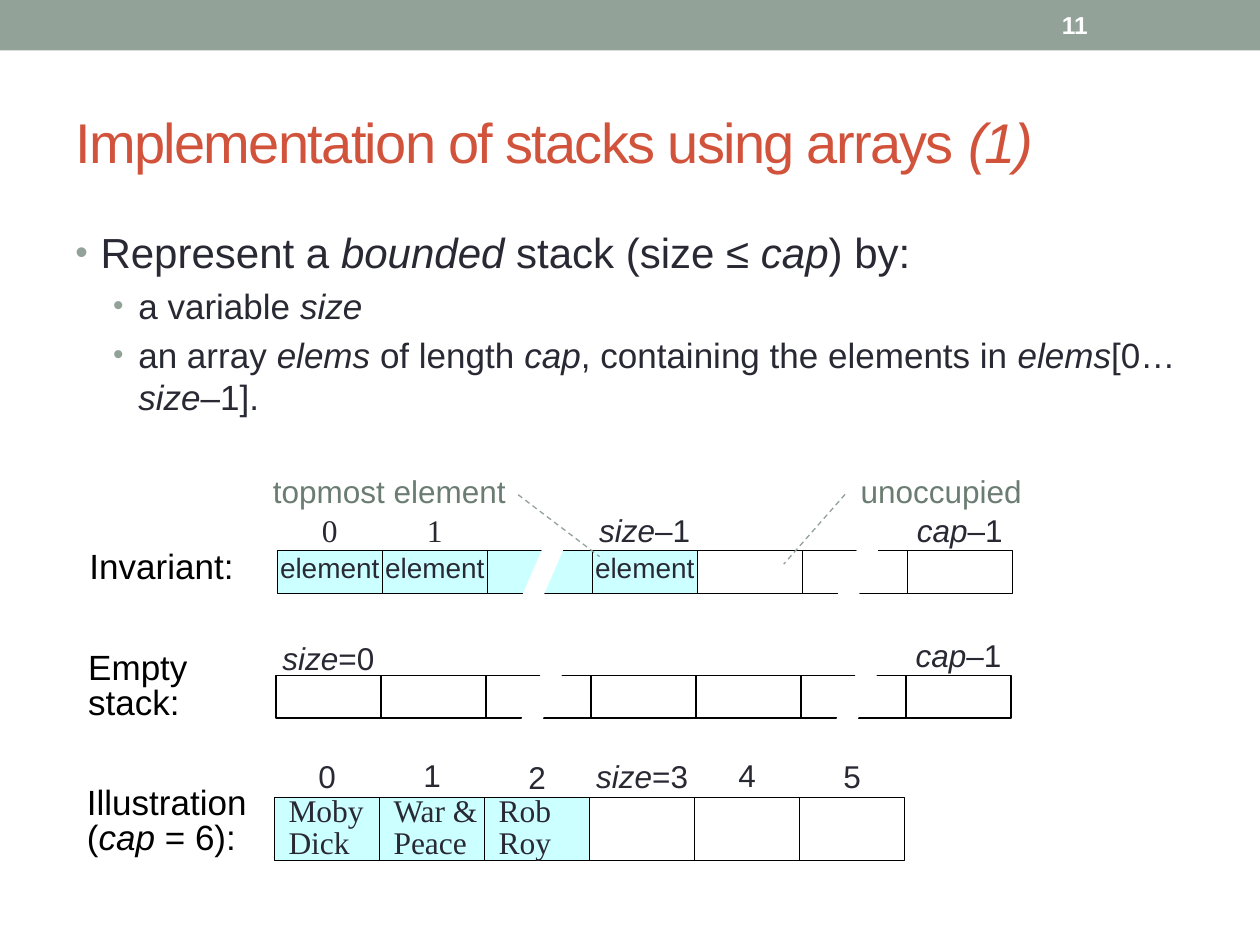
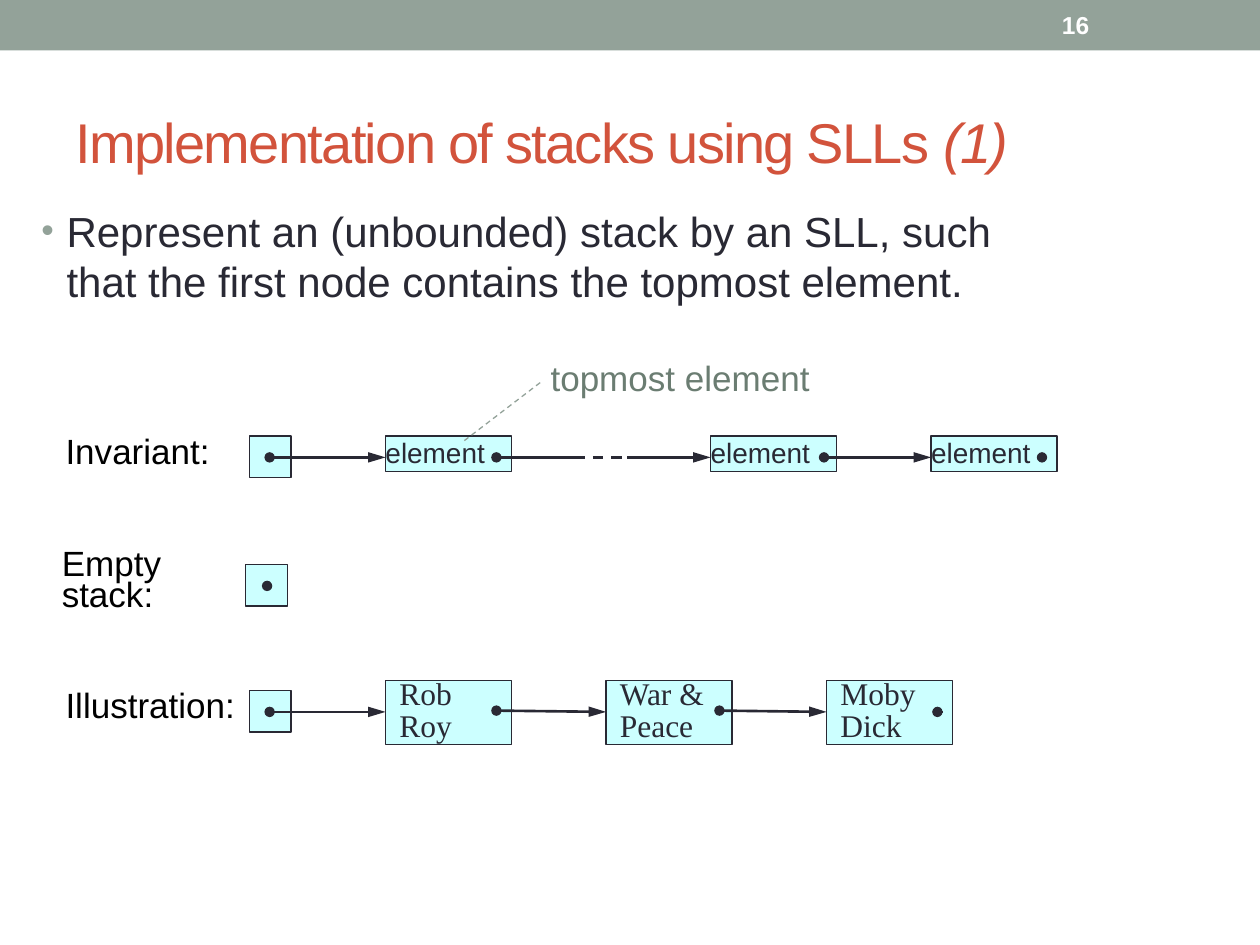
from dataclasses import dataclass, field
from typing import NamedTuple

from lxml import etree
from pptx import Presentation
from pptx.dml.color import RGBColor
from pptx.enum.dml import MSO_LINE
from pptx.enum.shapes import MSO_CONNECTOR, MSO_SHAPE
from pptx.enum.text import MSO_ANCHOR, MSO_AUTO_SIZE, PP_ALIGN
from pptx.oxml.ns import qn
from pptx.util import Emu, Inches, Pt

RECTANGLE, CALLOUT = MSO_SHAPE.RECTANGLE, MSO_SHAPE.LINE_CALLOUT_1_NO_BORDER
STRAIGHT, DASH = MSO_CONNECTOR.STRAIGHT, MSO_LINE.DASH
LEFT, CENTER = PP_ALIGN.LEFT, PP_ALIGN.CENTER
TOP, MIDDLE = MSO_ANCHOR.TOP, MSO_ANCHOR.MIDDLE
TITLE_ONLY = 5

COLORS = {
    "band": "93A299", "title": "D2533C", "ink": "292934", "note": "6B7D72",
    "black": "000000", "white": "FFFFFF", "cell": "CCFFFF",
}

# The slide is a grid of 100 columns by 75 rows with square units
WIDTH, HEIGHT = Inches(10), Inches(7.5)
UNIT = WIDTH / 100
CELL = 100 / 12


class Area(NamedTuple):
    left: float
    top: float
    width: float
    height: float


class Style(NamedTuple):
    size: float
    color: str
    font: str = "Arial"
    align: PP_ALIGN = LEFT
    spacing: float | None = None
    indent: float = 0
    bold: bool = False


STYLES = {
    "title": Style(32, "title"),
    "number": Style(14, "white", bold=True),
    "label": Style(20, "black", spacing=20),
    "tight label": Style(20, "black", spacing=18),
    "caption": Style(18, "ink", align=CENTER, spacing=18),
    "serif caption": Style(18, "ink", "Times New Roman", CENTER, 18),
    "book": Style(18, "ink", "Times New Roman", spacing=18, indent=1.1),
    "element": Style(16, "ink", align=CENTER),
    "node element": Style(16, "ink"),
    "note": Style(18, "note", align=CENTER, spacing=18),
    "large note": Style(20, "note", spacing=18),
}
BULLETS = [Style(24, "ink", indent=2), Style(20, "ink", indent=5)]


class Caption(NamedTuple):
    column: int
    text: str
    top: float
    style: str = "caption"


@dataclass
class ArrayRow:
    left: float
    top: float
    height: float
    count: int
    filled: tuple[int, ...] = ()
    contents: dict[int, str] = field(default_factory=dict)
    style: str = "element"
    gaps: tuple[int, ...] = ()
    captions: tuple[Caption, ...] = ()


class Link(NamedTuple):
    start: tuple[float, float]
    end: tuple[float, float]
    dot: bool = True
    arrow: bool = True
    dashed: bool = False


def units(*lengths: float) -> list[Emu]:
    return [Emu(round(length * UNIT)) for length in lengths]


def color(name: str) -> RGBColor:
    return RGBColor.from_string(COLORS[name])


def apply(target, values: dict) -> None:
    for name, value in values.items():
        setattr(target, name, value)


def add_spans(para, text: str, style: Style) -> None:
    """Write text in which *stars* mark italics and newlines break lines."""
    apply(para, {"alignment": style.align,
                 "line_spacing": Pt(style.spacing) if style.spacing else None})
    for index, part in enumerate(text.split("*")):
        for number, line in enumerate(part.split("\n")):
            if number:
                para.add_line_break()
            if not line:
                continue
            span = para.add_run()
            span.text = line
            apply(span.font, {"size": Pt(style.size), "name": style.font,
                              "bold": style.bold, "italic": index % 2 == 1})
            span.font.color.rgb = color(style.color)


def set_indent(para, left: float, hanging: float = 0):
    properties = para._p.get_or_add_pPr()
    margin, first = units(left, -hanging)
    properties.set("marL", str(margin))
    properties.set("indent", str(first))
    return properties


def prepare(frame, anchor=TOP, inset: bool = False) -> None:
    side, edge = (Inches(0.1), Inches(0.05)) if inset else (0, 0)
    apply(frame, {"word_wrap": True, "auto_size": MSO_AUTO_SIZE.NONE,
                  "vertical_anchor": anchor, "margin_left": side, "margin_right": side,
                  "margin_top": edge, "margin_bottom": edge})


def write(frame, text: str, style: str, anchor=TOP, inset: bool = False) -> None:
    prepare(frame, anchor, inset)
    para = frame.paragraphs[0]
    add_spans(para, text, STYLES[style])
    if STYLES[style].indent:
        set_indent(para, STYLES[style].indent)


def add_text(page, area: Area, text: str, style: str, **options) -> None:
    write(page.shapes.add_textbox(*units(*area)).text_frame, text, style, **options)


def add_box(page, area: Area, fill: str, line: str | None = None,
            text: str = "", style: str = "element") -> None:
    box = page.shapes.add_shape(RECTANGLE, *units(*area))
    box.shadow.inherit = False
    box.fill.solid()
    box.fill.fore_color.rgb = color(fill)
    if line:
        box.line.color.rgb = color(line)
        box.line.width = Pt(0.75)
    else:
        box.line.fill.background()
    if text:
        write(box.text_frame, text, style)


def add_bullets(page, area: Area, items: list[tuple[int, str]]) -> None:
    frame = page.shapes.add_textbox(*units(*area)).text_frame
    prepare(frame, inset=True)
    for index, (level, text) in enumerate(items):
        para = frame.add_paragraph() if index else frame.paragraphs[0]
        style = BULLETS[level]
        add_spans(para, text, style)
        para.space_before = Pt(style.size * 0.2)
        properties = set_indent(para, style.indent, 2)
        shade = etree.SubElement(properties, qn("a:buClr"))
        etree.SubElement(shade, qn("a:srgbClr"), val=COLORS["band"])
        etree.SubElement(properties, qn("a:buSzPct"), val="85000")
        etree.SubElement(properties, qn("a:buFont"), typeface="Arial")
        etree.SubElement(properties, qn("a:buChar"), char="•")


def add_callout(page, area: Area, text: str, style: str, pointer: tuple[float, ...]) -> None:
    """The pointer gives y, x of its start and y, x of its end as shares of the box."""
    box = page.shapes.add_shape(CALLOUT, *units(*area))
    box.shadow.inherit = False
    box.fill.background()
    box.line.color.rgb = color("band")
    apply(box.line, {"width": Pt(0.75), "dash_style": DASH})
    for index, share in enumerate(pointer):
        box.adjustments[index] = share
    write(box.text_frame, text, style)


def add_gap(page, left: float, top: float) -> None:
    """Slanted white strip that marks left-out cells."""
    points = [tuple(units(left + x, top + y)) for x, y in [(2.5, 0), (0, 5.8), (1.7, 5.8), (4.2, 0)]]
    builder = page.shapes.build_freeform(*points[0])
    builder.add_line_segments(points[1:], close=True)
    strip = builder.convert_to_shape()
    strip.shadow.inherit = False
    strip.fill.solid()
    strip.fill.fore_color.rgb = color("white")
    strip.line.fill.background()


def add_array(page, row: ArrayRow) -> None:
    for column in range(row.count):
        area = Area(row.left + column * CELL, row.top, CELL, row.height)
        add_box(page, area, "cell" if column in row.filled else "white", "black",
                row.contents.get(column, ""), row.style)
    for column in row.gaps:
        add_gap(page, row.left + column * CELL + 2.5, row.top - 1.6)
    for caption in row.captions:
        width = 10.1 if "size" in caption.text else CELL
        left = row.left + (caption.column + 0.5) * CELL - width / 2
        add_text(page, Area(left, caption.top, width, 2.6), caption.text, caption.style)


def add_link(page, link: Link) -> None:
    line = page.shapes.add_connector(STRAIGHT, *units(*link.start, *link.end))
    line.line.color.rgb = color("ink")
    line.line.width = Pt(1.5)
    if link.dashed:
        line.line.dash_style = DASH
    outline = line.line._get_or_add_ln()
    if link.dot:
        etree.SubElement(outline, qn("a:headEnd"), type="oval", w="med", len="med")
    if link.arrow:
        etree.SubElement(outline, qn("a:tailEnd"), type="triangle", w="med", len="lg")
    etree.SubElement(line._element.spPr, qn("a:effectLst"))


def add_page(deck, title: str, number: int):
    page = deck.slides.add_slide(deck.slide_layouts[TITLE_ONLY])
    add_box(page, Area(0, 0, 100, 4), "band")
    heading = page.shapes.title
    apply(heading, dict(zip(("left", "top", "width", "height"), units(5, 5.8, 90, 10.8))))
    write(heading.text_frame, title, "title", anchor=MIDDLE, inset=True)
    for span in heading.text_frame.paragraphs[0].runs:
        span._r.get_or_add_rPr().set("spc", "-100")
    add_text(page, Area(83.3, 0.2, 11.7, 3.6), str(number), "number", anchor=MIDDLE, inset=True)
    return page


deck = Presentation()
apply(deck, {"slide_width": WIDTH, "slide_height": HEIGHT})

# Stacks in arrays
page = add_page(deck, "Implementation of stacks using arrays *(1)*", 11)
add_bullets(page, Area(5, 17.5, 90, 53.3), [
    (0, "Represent a *bounded* stack (size ≤ *cap*) by:"),
    (1, "a variable *size*"),
    (1, "an array *elems* of length *cap*, containing the elements in *elems*[0… *size*–1]."),
])
for left, top, text in [(6.9, 62.5, "Illustration\n(*cap* = 6):"),
                        (7.1, 43.8, "Invariant:"), (7, 51.8, "Empty stack:")]:
    add_text(page, Area(left, top, 13.8, 5.6), text, "label")
ARRAYS = [
    ArrayRow(22, 43.7, 3.4, 7, (0, 1, 2, 3), dict.fromkeys((0, 1, 3), "element"), gaps=(2, 5),
             captions=(Caption(0, "0", 41.1, "serif caption"), Caption(1, "1", 41.1, "serif caption"),
                       Caption(3, "*size*–1", 41.1), Caption(6, "*cap*–1", 41.1))),
    ArrayRow(21.9, 53.6, 3.4, 7, gaps=(2, 5),
             captions=(Caption(0, "*size*=0", 51.2), Caption(6, "*cap*–1", 51))),
    ArrayRow(21.8, 63.3, 5, 6, (0, 1, 2), {0: "Moby Dick", 1: "War & Peace", 2: "Rob Roy"}, "book",
             captions=(Caption(0, "0", 60.6), Caption(1, "1", 60.5), Caption(2, "2", 60.7),
                       Caption(3, "*size*=3", 60.6), Caption(4, "4", 60.5), Caption(5, "5", 60.6))),
]
for row in ARRAYS:
    add_array(page, row)
add_callout(page, Area(21.5, 38, 18.8, 2.4), "topmost element", "note", (0.529, 1.044, 2.574, 1.388))
add_callout(page, Area(67.9, 38, 13.6, 2.3), "unoccupied", "note", (0.541, -0.061, 2.947, -0.419))

# Stacks in singly linked lists
page = add_page(deck, "Implementation of stacks using SLLs *(1)*", 16)
add_bullets(page, Area(2.3, 15.8, 83.3, 52.5), [
    (0, "Represent an (unbounded) stack by an SLL, such that the first node contains the topmost element."),
])
for left, top, text in [(5.2, 34.9, "Invariant:"), (4.9, 43.8, "Empty stack:"), (5.2, 55.1, "Illustration:")]:
    add_text(page, Area(left, top, 13.8, 5), text, "tight label")
for left, top in [(19.8, 34.6), (19.5, 44.8), (19.8, 54.8)]:
    add_box(page, Area(left, top, 3.3, 3.3), "cell", "ink")
for left in (30.6, 56.4, 73.9):
    add_box(page, Area(left, 34.6, 10, 2.8), "cell", "ink", "element", "node element")
for index, book in enumerate(["Rob\nRoy", "War & Peace", "Moby Dick"]):
    add_box(page, Area(30.6 + index * 17.5, 54, 10, 5.1), "cell", "ink", book, "book")
LINKS = [
    Link((21.4, 36.3), (30.6, 36.3)),
    Link((39.4, 36.3), (46.1, 36.3), arrow=False),
    Link((45.6, 36.3), (49.8, 36.3), dot=False, arrow=False, dashed=True),
    Link((49.8, 36.3), (56.4, 36.3), dot=False),
    Link((65.4, 36.3), (73.9, 36.3)),
    Link((82.7, 36.3), (83.1, 36.3), arrow=False),
    Link((21.2, 46.5), (21.2, 46.9), arrow=False),
    Link((21.4, 56.5), (30.6, 56.5)),
    Link((39.4, 56.4), (48.1, 56.5)),
    Link((57.1, 56.4), (65.6, 56.5)),
    Link((74.4, 56.5), (74.8, 56.5), arrow=False),
]
for link in LINKS:
    add_link(page, link)
add_callout(page, Area(43.7, 29.1, 21.3, 2.8), "topmost element", "large note", (0.453, -0.039, 2.119, -0.325))

deck.save("out.pptx")
